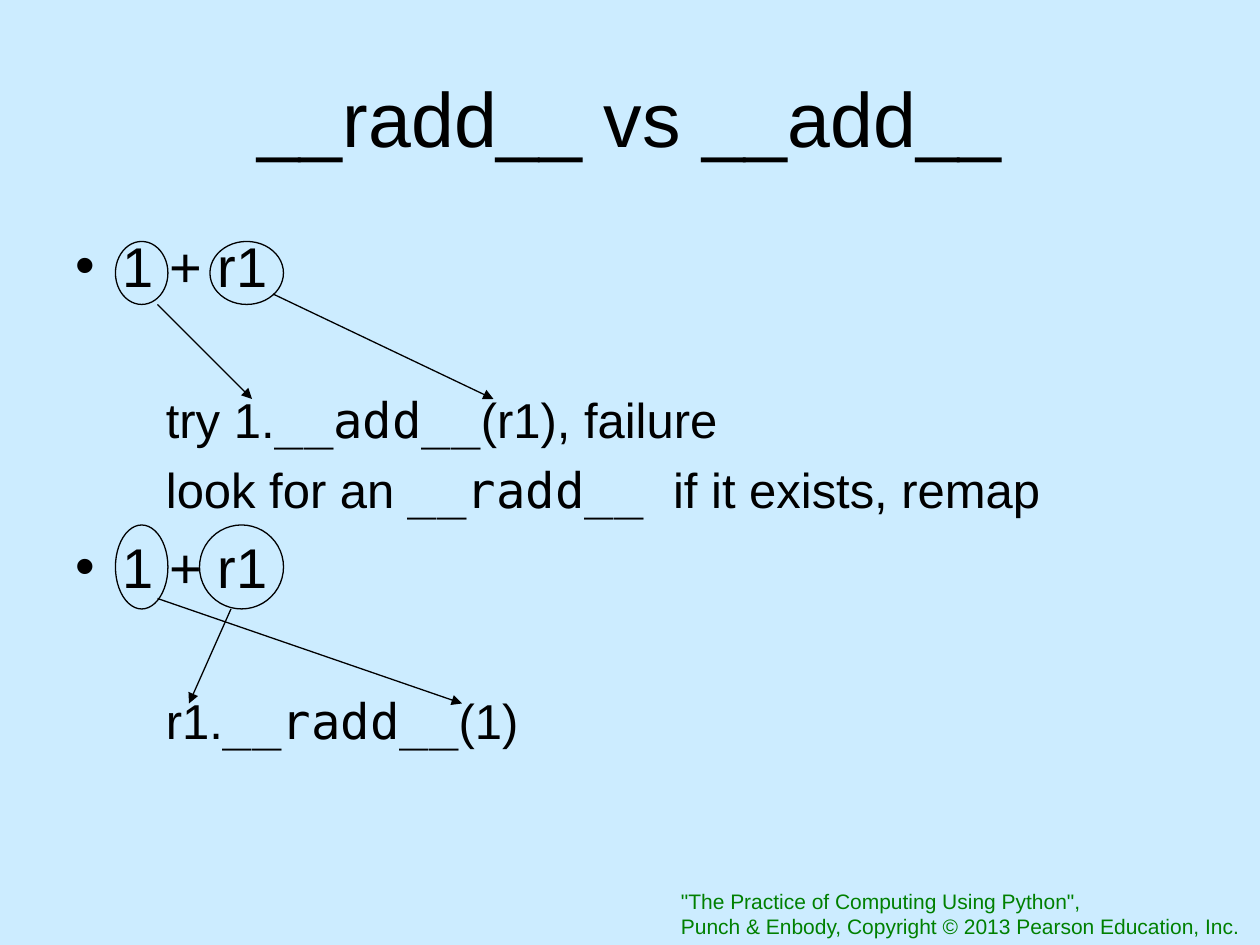
from dataclasses import dataclass

from lxml import etree
from pptx import Presentation
from pptx.dml.color import RGBColor
from pptx.enum.shapes import MSO_CONNECTOR, MSO_SHAPE
from pptx.enum.text import MSO_ANCHOR, MSO_AUTO_SIZE, PP_ALIGN
from pptx.oxml.ns import qn
from pptx.util import Pt

LINE = MSO_CONNECTOR.STRAIGHT
OVAL = MSO_SHAPE.OVAL
MIDDLE = MSO_ANCHOR.MIDDLE
NO_FIT = MSO_AUTO_SIZE.NONE
LEFT, CENTER = PP_ALIGN.LEFT, PP_ALIGN.CENTER

COLORS = {"back": "CCECFF", "ink": "000000", "credit": "008000"}
SANS, MONO = "Arial", "DejaVu Sans Mono"


@dataclass
class Row:
    texts: list[str]
    gap: float
    top: bool = False


@dataclass
class Ring:
    left: float
    top: float
    width: float
    height: float


@dataclass
class Arrow:
    x1: float
    y1: float
    x2: float
    y2: float


ROWS = [
    Row(["1 + r1"], 0, True),
    Row(["try 1.", "__add__", "(r1), failure"], 52),
    Row(["look for an ", "__radd__ ", "if it exists, remap"], 6.5),
    Row(["1 + r1"], 8, True),
    Row(["r1.", "__radd__", "(1)"], 52),
]
RINGS = [
    Ring(66, 138, 30, 36),
    Ring(120, 138, 42, 36),
    Ring(66, 300, 30, 48),
    Ring(114, 300, 48, 48),
]
ARROWS = [
    Arrow(90, 174, 144, 228),
    Arrow(156, 168, 282, 228),
    Arrow(132, 348, 108, 402),
    Arrow(90, 342, 264, 402),
]


def tint(name: str) -> RGBColor:
    return RGBColor.from_string(COLORS[name])


def write(para, text: str, *, size: float, face: str = SANS,
          color: str = "ink", align=LEFT) -> None:
    para.alignment = align
    run = para.add_run()
    run.text = text
    run.font.size = Pt(size)
    run.font.name = face
    run.font.color.rgb = tint(color)


def place(shape, left: float, top: float, width: float, height: float) -> None:
    shape.left, shape.top = Pt(left), Pt(top)
    shape.width, shape.height = Pt(width), Pt(height)


def indent(para, left: float, first: float, mark: str = "") -> None:
    props = para._p.get_or_add_pPr()
    props.set("marL", str(Pt(left)))
    props.set("indent", str(Pt(first)))
    if mark:
        etree.SubElement(props, qn("a:buChar"), char=mark)
    else:
        etree.SubElement(props, qn("a:buNone"))


def fill_list(frame, rows: list[Row]) -> None:
    for i, row in enumerate(rows):
        para = frame.add_paragraph() if i else frame.paragraphs[0]
        para.level = 0 if row.top else 1
        para.space_before = Pt(row.gap)
        if row.top:
            indent(para, 27, -27, "•")
        else:
            indent(para, 51.6, 0)
        for j, text in enumerate(row.texts):
            write(para, text, size=32 if row.top else 28,
                  face=MONO if j == 1 else SANS)


def draw_ring(slide, ring: Ring) -> None:
    shape = slide.shapes.add_shape(OVAL, Pt(ring.left), Pt(ring.top),
                                   Pt(ring.width), Pt(ring.height))
    shape.shadow.inherit = False
    shape.fill.background()
    shape.line.color.rgb = tint("ink")
    shape.line.width = Pt(0.75)


def draw_arrow(slide, arrow: Arrow) -> None:
    link = slide.shapes.add_connector(LINE, Pt(arrow.x1), Pt(arrow.y1),
                                      Pt(arrow.x2), Pt(arrow.y2))
    link.line.color.rgb = tint("ink")
    link.line.width = Pt(0.75)
    props = link._element.spPr
    etree.SubElement(props.find(qn("a:ln")), qn("a:tailEnd"), type="triangle")
    etree.SubElement(props, qn("a:effectLst"))


def main() -> None:
    deck = Presentation()
    deck.slide_width, deck.slide_height = Pt(720), Pt(540)
    slide = deck.slides.add_slide(deck.slide_layouts[1])
    slide.background.fill.solid()
    slide.background.fill.fore_color.rgb = tint("back")

    note = slide.shapes.add_textbox(Pt(382), Pt(504), Pt(337), Pt(36)).text_frame
    note.word_wrap = False
    write(note.paragraphs[0], '"The Practice of Computing Using Python",',
          size=12, color="credit")
    write(note.add_paragraph(),
          "Punch & Enbody, Copyright © 2013 Pearson Education, Inc.",
          size=12, color="credit")

    title = slide.shapes.title
    place(title, 36, 21.6, 648, 90)
    title.text_frame.vertical_anchor = MIDDLE
    write(title.text_frame.paragraphs[0], "__radd__ vs __add__",
          size=44, align=CENTER)

    body = slide.placeholders[1]
    place(body, 36, 126, 648, 356.4)
    body.text_frame.auto_size = NO_FIT
    body.text_frame.margin_top = Pt(6)
    fill_list(body.text_frame, ROWS)

    for ring in RINGS:
        draw_ring(slide, ring)
    for arrow in ARROWS:
        draw_arrow(slide, arrow)
    deck.save("out.pptx")


if __name__ == "__main__":
    main()
